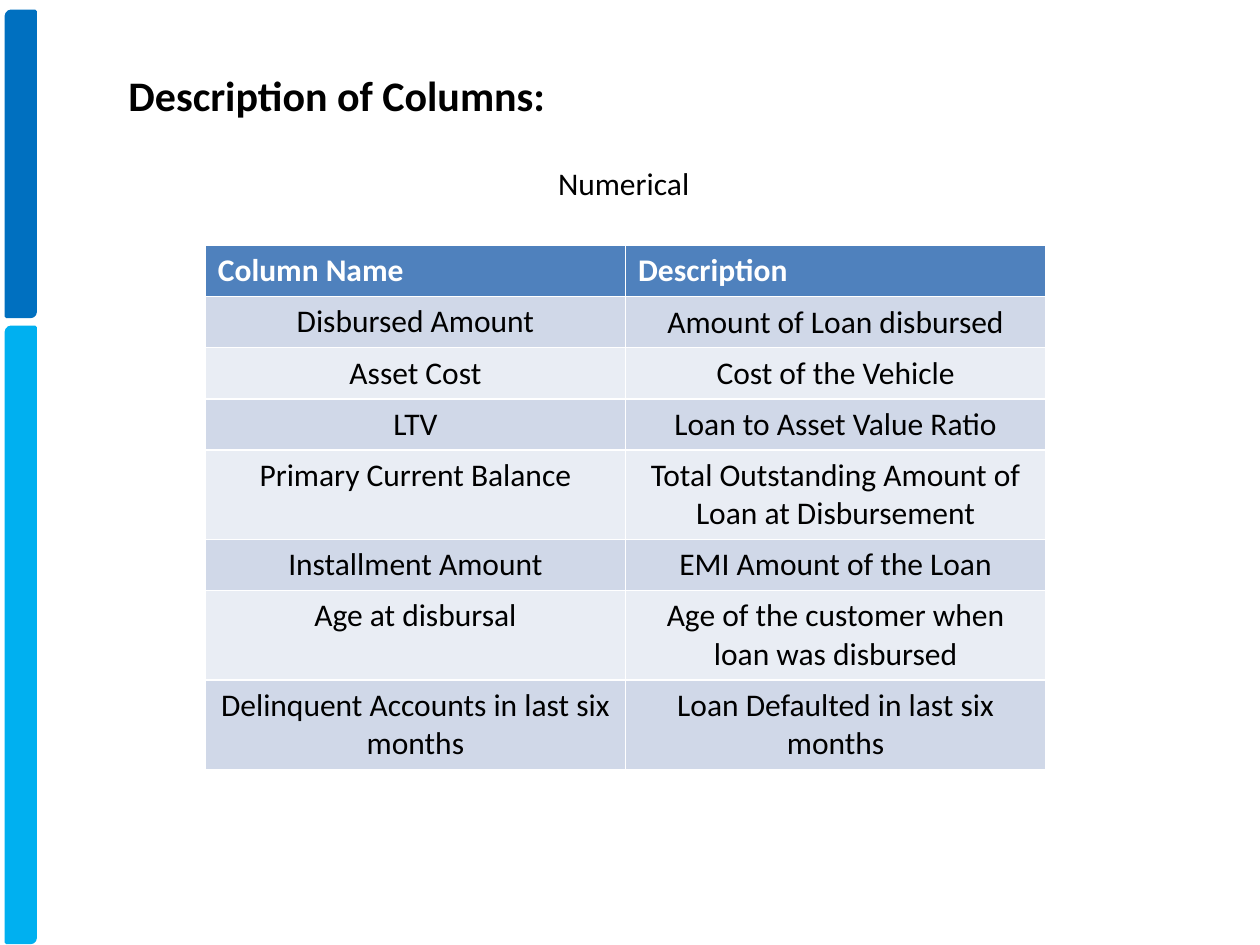
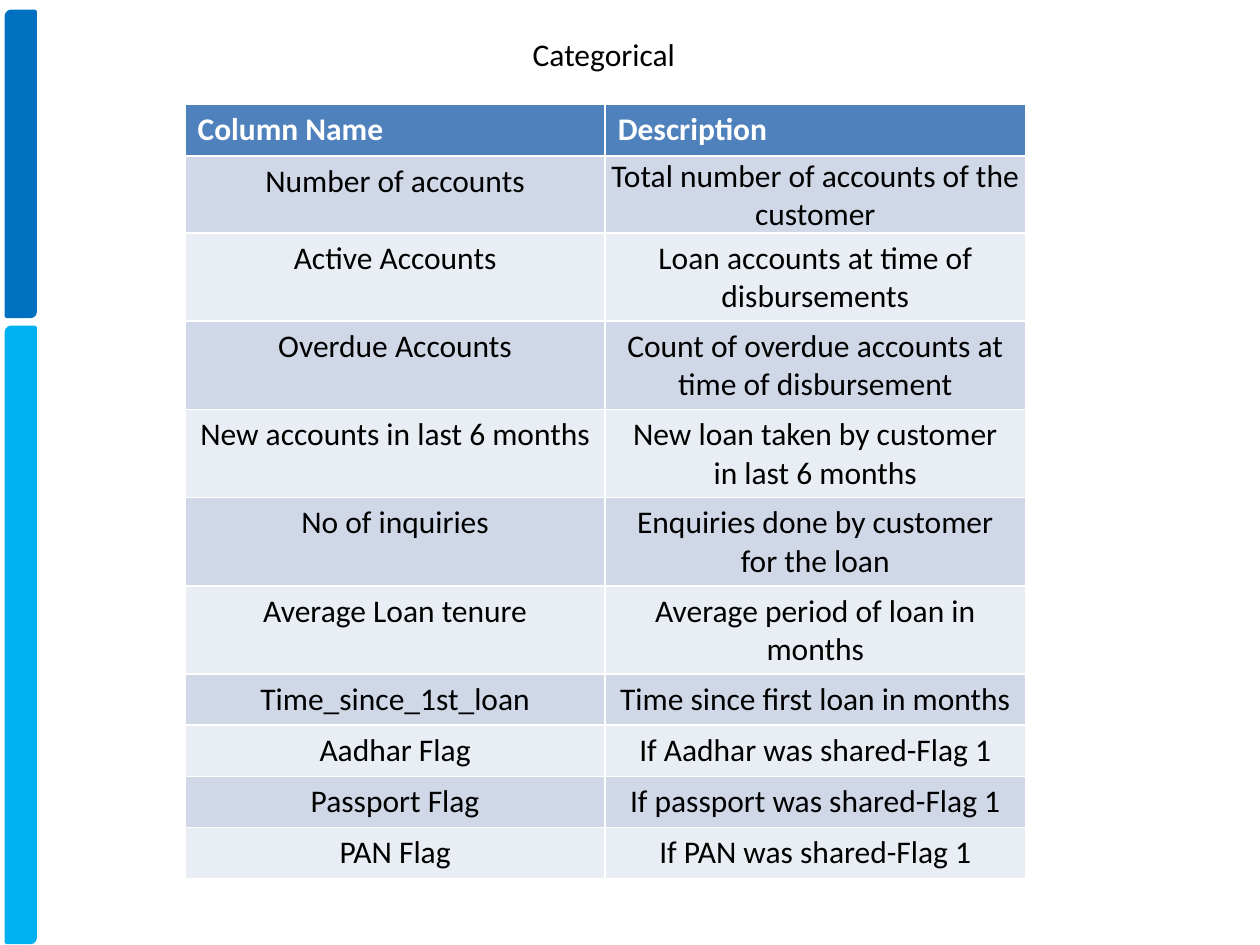
"""Builds two slides that describe the numerical and categorical columns of a loan data set."""
from pptx import Presentation
from pptx.dml.color import RGBColor
from pptx.enum.shapes import MSO_SHAPE as Shape
from pptx.enum.text import MSO_ANCHOR as Anchor, MSO_AUTO_SIZE as Auto, PP_ALIGN as Align
from pptx.util import Cm, Pt

FONT = "Calibri"
BLACK, WHITE = "000000", "FFFFFF"
HEAD_FILL, BANDS = "4F81BD", ("D0D8E8", "E9EDF4")
BARS = [("0070C0", 0.23, 6.15), ("00B0F0", 6.6, 12.4)]
BAR_LEFT, BAR_WIDE = 0.13, 0.58
COL_WIDE, ROW_HIGH, TIGHT = 8.47, 1.03, 0.03
HEADS = ("Column Name", "Description")

SLIDES = [
    {
        "labels": [
            ("Numerical", (11, 3.18, 3.2, 1.02), {}),
            ("Description of Columns:", (2.34, 1.27, 8.99, 1.27), {"size": 24, "bold": True}),
        ],
        "corner": (4.14, 4.95),
        "rows": [
            ("Disbursed Amount", "Amount of Loan disbursed"),
            ("Asset Cost", "Cost of the Vehicle"),
            ("LTV", "Loan to Asset Value Ratio"),
            ("Primary Current Balance", "Total Outstanding Amount of Loan at Disbursement"),
            ("Installment Amount", "EMI Amount of the Loan"),
            ("Age at disbursal", "Age of the customer when loan was disbursed"),
            ("Delinquent Accounts in last six months", "Loan Defaulted in last six months"),
        ],
    },
    {
        "labels": [("Categorical", (10.49, 0.58, 3.4, 1.02), {})],
        "corner": (3.73, 2.11),
        "rows": [
            ("Number of accounts", "Total number of accounts of the customer"),
            ("Active Accounts", "Loan accounts at time of disbursements"),
            ("Overdue Accounts", "Count of overdue accounts at time of disbursement"),
            ("New accounts in last 6 months", "New loan taken by customer in last 6 months"),
            ("No of inquiries", "Enquiries done by customer for the loan"),
            ("Average Loan tenure", "Average period of loan in months"),
            ("Time_since_1st_loan", "Time since first loan in months"),
            ("Aadhar Flag", "If Aadhar was shared-Flag 1"),
            ("Passport Flag", "If passport was shared-Flag 1"),
            ("PAN Flag", "If PAN was shared-Flag 1"),
        ],
    },
]


def paint(fill, color):
    fill.solid()
    fill.fore_color.rgb = RGBColor.from_string(color)


def write(frame, text, size=18, color=BLACK, bold=False, align=Align.LEFT):
    para = frame.paragraphs[0]
    para.alignment = align
    run = para.add_run()
    run.text = text
    run.font.name, run.font.size, run.font.bold = FONT, Pt(size), bold
    run.font.color.rgb = RGBColor.from_string(color)


def add_bars(slide):
    for color, top, high in BARS:
        bar = slide.shapes.add_shape(
            Shape.ROUND_2_DIAG_RECTANGLE, Cm(BAR_LEFT), Cm(top), Cm(BAR_WIDE), Cm(high))
        bar.shadow.inherit = False
        paint(bar.fill, color)
        paint(bar.line.fill, color)
        bar.line.width = Pt(2)


def add_label(slide, text, place, style):
    frame = slide.shapes.add_textbox(*map(Cm, place)).text_frame
    frame.word_wrap = False
    frame.auto_size = Auto.SHAPE_TO_FIT_TEXT
    write(frame, text, **style)


def add_grid(slide, corner, rows):
    lines = [HEADS, *rows]
    size = (COL_WIDE * len(HEADS), ROW_HIGH * len(lines))
    grid = slide.shapes.add_table(len(lines), len(HEADS), *map(Cm, corner + size)).table
    for r, line in enumerate(lines):
        for c, text in enumerate(line):
            cell = grid.cell(r, c)
            if r == 0:
                paint(cell.fill, HEAD_FILL)
                write(cell.text_frame, text, color=WHITE, bold=True)
            else:
                paint(cell.fill, BANDS[(r - 1) % 2])
                write(cell.text_frame, text, align=Align.CENTER)
    first = grid.cell(1, 1)
    first.vertical_anchor = Anchor.MIDDLE
    first.margin_left = first.margin_top = first.margin_right = Cm(TIGHT)
    first.margin_bottom = 0


def main():
    deck = Presentation()
    deck.slide_width, deck.slide_height = Cm(25.4), Cm(19.05)
    for page in SLIDES:
        slide = deck.slides.add_slide(deck.slide_layouts[6])
        add_bars(slide)
        add_grid(slide, page["corner"], page["rows"])
        for label in page["labels"]:
            add_label(slide, *label)
    deck.save("out.pptx")


if __name__ == "__main__":
    main()
